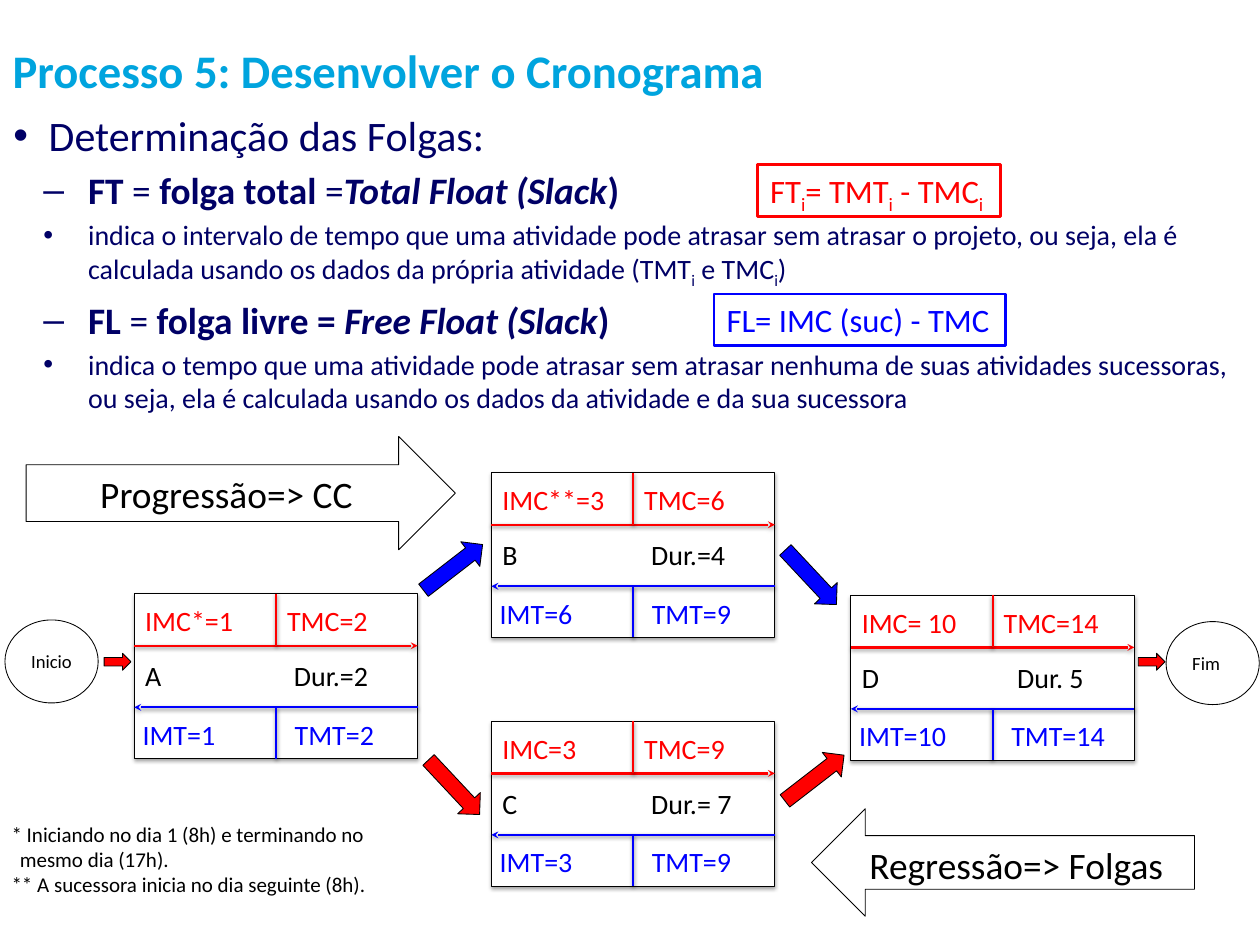
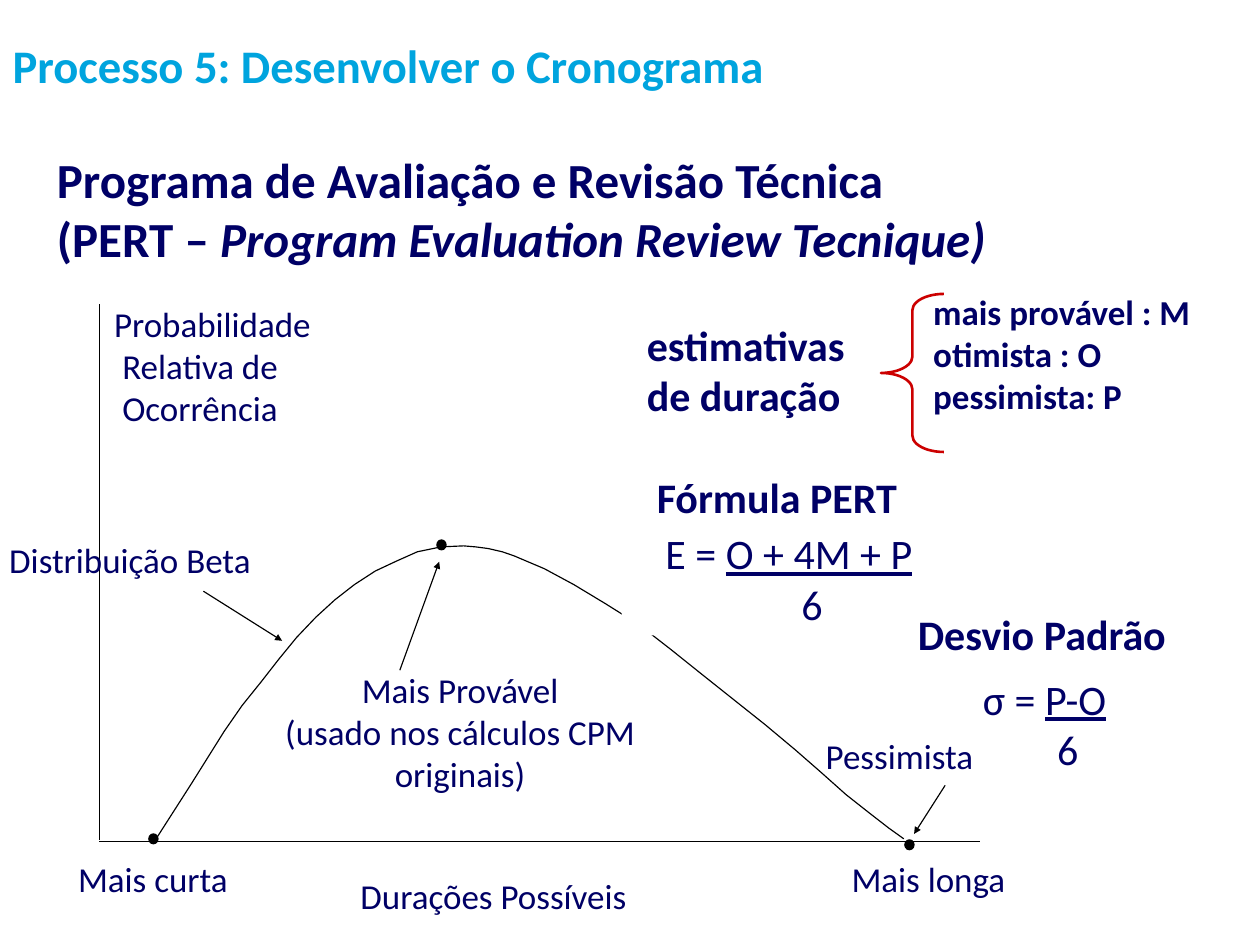
from lxml import etree
from pptx import Presentation
from pptx.dml.color import RGBColor
from pptx.enum.shapes import MSO_CONNECTOR, MSO_SHAPE
from pptx.enum.text import MSO_ANCHOR, MSO_AUTO_SIZE, PP_ALIGN
from pptx.oxml.ns import qn
from pptx.util import Cm, Pt

LEFT, CENTER = PP_ALIGN.LEFT, PP_ALIGN.CENTER
TOP, MIDDLE = MSO_ANCHOR.TOP, MSO_ANCHOR.MIDDLE
RECTANGLE, ELLIPSE = MSO_SHAPE.RECTANGLE, MSO_SHAPE.OVAL
RIGHT_ARROW, LEFT_ARROW = MSO_SHAPE.RIGHT_ARROW, MSO_SHAPE.LEFT_ARROW
STRAIGHT = MSO_CONNECTOR.STRAIGHT

FONT = "Calibri"
COLORS = {"header": "00A4DE", "navy": "000066", "red": "FF0000", "blue": "0000FF",
          "brace": "CC0000", "black": "000000", "white": "FFFFFF"}
WIDE_INSET, NARROW_INSET = (0.38, 0.19), (0.25, 0.13)

# Heights above the duration axis, measured from the axis corner
BETA_CURVE = [
    (1.72, 0.08), (2.79, 1.75), (3.78, 3.33), (4.32, 4.11), (4.9, 4.83), (5.43, 5.51),
    (5.97, 6.17), (6.55, 6.78), (7.13, 7.31), (7.72, 7.77), (8.35, 8.18), (8.99, 8.48),
    (9.62, 8.76), (10.34, 8.91), (11.02, 8.94), (11.38, 8.91), (11.76, 8.86),
    (12.19, 8.76), (12.54, 8.64), (13.46, 8.25), (14.35, 7.77), (15.31, 7.19),
    (16.33, 6.55), (17.27, 5.82), (18.23, 5.05), (20.14, 3.53), (21.05, 2.77),
    (21.84, 2.08), (22.58, 1.42), (23.29, 0.86), (23.87, 0.41), (24.33, 0.08)]


def rgb(color):
    return RGBColor.from_string(COLORS[color])


def fill_paragraph(paragraph, runs, size, color, bold=None, align=LEFT):
    """Runs are strings or (text, style) pairs; style letters: b, i, u, s (subscript)."""
    paragraph.alignment = align
    font = paragraph.font
    font.name, font.size, font.bold = FONT, Pt(size), bold
    font.color.rgb = rgb(color)
    for item in [runs] if isinstance(runs, str) else runs:
        text, style = (item, "") if isinstance(item, str) else item
        if text == "\n":
            paragraph.add_line_break()
            continue
        run = paragraph.add_run()
        run.text = text
        if "b" in style:
            run.font.bold = True
        if "i" in style:
            run.font.italic = True
        if "u" in style:
            run.font.underline = True
        if "s" in style:
            run._r.get_or_add_rPr().set("baseline", "-25000")


def set_indent(paragraph, left, first=0):
    properties = paragraph._p.get_or_add_pPr()
    properties.set("marL", str(Cm(left)))
    properties.set("indent", str(Cm(first)))


def add_tab(paragraph, position):
    tabs = etree.SubElement(paragraph._p.get_or_add_pPr(), qn("a:tabLst"))
    etree.SubElement(tabs, qn("a:tab"), pos=str(Cm(position)), algn="l")


def next_paragraph(text_frame, index):
    return text_frame.add_paragraph() if index else text_frame.paragraphs[0]


def write(shape, paragraphs, size, color, bold=None, align=LEFT, anchor=TOP,
          inset=WIDE_INSET, wrap=True, tab=None):
    text_frame = shape.text_frame
    text_frame.auto_size = MSO_AUTO_SIZE.NONE
    text_frame.word_wrap = wrap
    text_frame.vertical_anchor = anchor
    text_frame.margin_left = text_frame.margin_right = Cm(inset[0])
    text_frame.margin_top = text_frame.margin_bottom = Cm(inset[1])
    for index, runs in enumerate(paragraphs):
        paragraph = next_paragraph(text_frame, index)
        if tab:
            add_tab(paragraph, tab)
        fill_paragraph(paragraph, runs, size, color, bold, align)
    return text_frame.paragraphs


def add_text(shapes, left, top, width, height, paragraphs, size, color, **options):
    box = shapes.add_textbox(Cm(left), Cm(top), Cm(width), Cm(height))
    return write(box, paragraphs, size, color, **options)


def add_shadow(properties, alpha, distance):
    effects = etree.SubElement(properties, qn("a:effectLst"))
    shadow = etree.SubElement(effects, qn("a:outerShdw"), blurRad="40000",
                              dist=str(distance), dir="5400000", rotWithShape="0")
    color = etree.SubElement(shadow, qn("a:srgbClr"), val=COLORS["black"])
    etree.SubElement(color, qn("a:alpha"), val=str(alpha * 1000))


def add_shape(shapes, kind, left, top, width, height, fill=None, line="black",
              line_width=0.75):
    shape = shapes.add_shape(kind, Cm(left), Cm(top), Cm(width), Cm(height))
    shape.shadow.inherit = False
    if fill:
        shape.fill.solid()
        shape.fill.fore_color.rgb = rgb(fill)
    else:
        shape.fill.background()
    if line:
        shape.line.color.rgb = rgb(line)
        shape.line.width = Pt(line_width)
    else:
        shape.line.fill.background()
    return shape


def add_line(shapes, start, end, color="black", width=1, arrow=None, at="tailEnd",
             shadow=False):
    connector = shapes.add_connector(STRAIGHT, *(Cm(value) for value in (*start, *end)))
    connector.line.color.rgb = rgb(color)
    connector.line.width = Pt(width)
    if arrow:
        etree.SubElement(connector.line._get_or_add_ln(), qn(f"a:{at}"), type=arrow)
    if shadow:
        add_shadow(connector._element.spPr, 38, 20000)
    else:
        etree.SubElement(connector._element.spPr, qn("a:effectLst"))


def place(shape, left, top, width, height):
    shape.left, shape.top, shape.width, shape.height = map(Cm, (left, top, width, height))


def fill_header(shape, top):
    place(shape, 0, top, 34.37, 2.72)
    write(shape, ["Processo 5: Desenvolver o Cronograma"], 40, "header", bold=True,
          anchor=MIDDLE)


def fill_float_definitions(body, left, top, width, height):
    place(body, left, top, width, height)
    body.text_frame.auto_size = MSO_AUTO_SIZE.NONE
    rows = [
        (0, "•", 36, "Determinação das Folgas:"),
        (1, "–", 32, [("FT", "b"), " = ", ("folga total", "b"), " =",
                      ("Total Float (Slack", "bi"), (")", "b")]),
        (2, "•", 24, ["indica o intervalo de tempo que uma atividade pode atrasar sem "
                      "atrasar o projeto, ou seja, ela é calculada usando os dados da "
                      "própria atividade (TMT", ("i", "s"), " e TMC", ("i", "s"), ")"]),
        (1, "–", 32, [("FL", "b"), " = ", ("folga livre = ", "b"),
                      ("Free Float (Slack", "bi"), (")", "b")]),
        (2, "•", 24, "indica o tempo que uma atividade pode atrasar sem atrasar nenhuma "
                     "de suas atividades sucessoras, ou seja, ela é calculada usando os "
                     "dados da atividade e da sua sucessora")]
    for index, (level, bullet, size, runs) in enumerate(rows):
        paragraph = next_paragraph(body.text_frame, index)
        paragraph.level = level
        paragraph.space_before = Pt(0.2 * size if index else 0)
        properties = paragraph._p.get_or_add_pPr()
        etree.SubElement(properties, qn("a:buFont"), typeface="Arial")
        etree.SubElement(properties, qn("a:buChar"), char=bullet)
        set_indent(paragraph, *((2.26, -1.35) if level else (1.07, -1.07)))
        fill_paragraph(paragraph, runs, size, "navy")


def draw_formula_box(shapes, left, top, width, runs, color):
    box = add_shape(shapes, RECTANGLE, left, top, width, 1.57, line=color, line_width=2.25)
    write(box, [runs], 28, color, wrap=False)


def draw_activity(slide, left, top, name, duration, early, late, tab=4.5):
    """Draw one activity box; early and late are (start, finish) label pairs."""
    width, height, middle, upper, lower = 8.57, 4.98, 4.29, 1.57, 3.43
    shapes = slide.shapes.add_group_shape().shapes
    frame = add_shape(shapes, RECTANGLE, left, top, width, height, "white")
    frame._element.spPr.remove(frame._element.spPr.find(qn("a:effectLst")))
    add_shadow(frame._element.spPr, 35, 23000)
    for y, color, at in ((upper, "red", "tailEnd"), (lower, "blue", "headEnd")):
        add_line(shapes, (left, top + y), (left + width, top + y), color, 2, "stealth", at,
                 shadow=True)
    for start, end, color in ((0, upper, "red"), (lower, height, "blue")):
        add_line(shapes, (left + middle, top + start), (left + middle, top + end), color, 2,
                 shadow=True)
    for x, y, text, color in ((0.08, 0.17, early[0], "red"), (4.37, 0.17, early[1], "red"),
                              (0, 3.6, late[0], "blue"), (4.6, 3.6, late[1], "blue")):
        add_text(shapes, left + x, top + y, 4.5, 1.27, [text], 24, color, inset=NARROW_INSET)
    add_text(shapes, left + 0.08, top + 1.83, width, 1.27, [f"{name}\t{duration}"], 24,
             "black", inset=NARROW_INSET, tab=tab)


def draw_network(slide, left, top):
    activities = [
        (14.86, 1.1, "B", "Dur.=4", ("IMC**=3", "TMC=6"), ("IMT=6", "TMT=9")),
        (4.06, 4.76, "A", "Dur.=2", ("IMC*=1", "TMC=2"), ("IMT=1", "TMT=2")),
        (25.73, 4.81, "D", "Dur. 5", ("IMC= 10", "TMC=14"), ("IMT=10", "TMT=14"), 4.7),
        (14.86, 8.62, "C", "Dur.= 7", ("IMC=3", "TMC=9"), ("IMT=3", "TMT=9"))]
    for x, y, *details in activities:
        draw_activity(slide, left + x, top + y, *details)

    shapes = slide.shapes
    up, down = 322.3, 46.9
    for x, y, rotation, color in ((12.57, 3.49, up, "blue"), (12.6, 10.14, down, "red"),
                                  (23.39, 3.79, down, "blue"), (23.5, 9.86, up, "red")):
        arrow = add_shape(shapes, RIGHT_ARROW, left + x, top + y, 2.26, 0.94, color)
        arrow.rotation = rotation
    for x, y, text, arrow_x in ((0.15, 5.55, "Inicio", 3.15), (35.26, 5.6, "Fim", 34.42)):
        event = add_shape(shapes, ELLIPSE, left + x, top + y, 2.82, 2.51, "white")
        write(event, [text], 16, "black", anchor=MIDDLE, wrap=False)
        add_shape(shapes, RIGHT_ARROW, left + arrow_x, top + 6.56, 0.81, 0.51, "red")
    for kind, x, y, width, height, text in (
            (RIGHT_ARROW, 0.79, 0, 12.98, 3.43, "Progressão=> CC"),
            (LEFT_ARROW, 24.54, 11.26, 11.58, 3.25, "Regressão=> Folgas")):
        direction = add_shape(shapes, kind, left + x, top + y, width, height, "white")
        write(direction, [text], 32, "black", align=CENTER)
    notes = add_text(shapes, left + 0.1, top + 11.51, 14.83, 2.57,
                     [["* Iniciando no dia 1 (8h) e terminando no", "\n",
                       "mesmo dia (17h)."],
                      "** A sucessora inicia no dia seguinte (8h)."],
                     18, "black", inset=NARROW_INSET)
    set_indent(notes[0], 0.25, -0.25)


def draw_beta_plot(slide, left, base):
    """Draw the distribution; left and base locate the corner of the axes."""
    shapes = slide.shapes.add_group_shape().shapes

    def at(x, rise):
        return left + x, base - rise

    points = [tuple(map(Cm, at(*point))) for point in BETA_CURVE]
    builder = shapes.build_freeform(*points[0])
    builder.add_line_segments(points[1:], close=False)
    curve = builder.convert_to_shape()
    curve.shadow.inherit = False
    curve.fill.background()
    curve.line.color.rgb = rgb("black")
    curve.line.width = Pt(1)

    add_line(shapes, at(0, 0), at(26.62, 0))
    add_line(shapes, at(0, 0.05), at(0, 16.25))
    for x, rise, width, text in ((7.52, -0.81, 9.2, "Durações Possíveis"),
                                 (22.37, -0.31, 5.8, "Mais longa"),
                                 (-1.02, -0.31, 5.7, "Mais curta"),
                                 (-3.1, 9.35, 8.84, "Distribuição Beta"),
                                 (21.59, 3.43, 5.94, "Pessimista")):
        add_text(shapes, *at(x, rise), width, 1.65, [text], 30, "navy")
    axis_title = add_text(shapes, *at(0.07, 16.48), 7.1, 4.22,
                          ["Probabilidade", "Relativa de", "Ocorrência"], 30, "navy")
    for paragraph in axis_title[1:]:
        set_indent(paragraph, 0.25)
    add_text(shapes, *at(4.82, 5.43), 12.19, 4.22,
             ["Mais Provável", "(usado nos cálculos CPM originais)"], 30, "navy",
             align=CENTER)
    for dot in ((10.21, 9.12), (24.36, 0.05), (1.5, 0.23)):
        add_shape(shapes, ELLIPSE, *at(*dot), 0.28, 0.3, "black", line_width=1)
    for start, end in (((9.09, 5.18), (10.28, 8.46)), ((3.15, 7.57), (5.53, 6.07)),
                       ((25.58, 1.7), (24.64, 0.23))):
        add_line(shapes, at(*start), at(*end), arrow="triangle")


def draw_estimates(slide, left, top):
    shapes = slide.shapes
    add_text(shapes, left + 0.38, top + 0.87, 9.63, 3.45, ["estimativas", "de duração"],
             36, "navy", bold=True)
    add_text(shapes, left + 9.04, top, 10.11, 4.22,
             ["mais provável : M", "otimista : O", "pessimista: P"], 30, "navy", bold=True)
    brace = add_shape(shapes, MSO_SHAPE.LEFT_BRACE, left + 7.84, top + 0.29, 1.9, 4.78,
                      line="brace", line_width=2.25)
    brace.adjustments[0], brace.adjustments[1] = 0.26, 0.5
    for x, y, width, fill, symbol, numerator in (
            (0, 7.17, 10.11, "white", "E = ", "O + 4M + P"),
            (9.65, 11.57, 6.27, None, "σ = ", "P-O")):
        formula = add_shape(shapes, RECTANGLE, left + x, top + y, width, 3.45, fill, None)
        lines = write(formula, [[symbol, (numerator, "u")], "6"], 36, "navy", align=CENTER)
        set_indent(lines[1], 1.4)
    add_text(shapes, left + 7.75, top + 9.6, 9.91, 1.9, ["Desvio Padrão"], 36, "navy",
             bold=True, align=CENTER)
    add_text(shapes, left + 0.68, top + 5.47, 9.63, 1.9, ["Fórmula PERT"], 36, "navy",
             bold=True)


def build_float_slide(presentation):
    slide = presentation.slides.add_slide(presentation.slide_layouts[1])
    fill_header(slide.shapes.title, 0.76)
    fill_float_definitions(slide.placeholders[1], 0.15, 3.18, 37.62, 21.31)
    draw_formula_box(slide.shapes, 21.59, 8.89, 8.81, "FL= IMC (suc) - TMC", "blue")
    draw_formula_box(slide.shapes, 22.91, 4.98, 7.34,
                     ["FT", ("i", "s"), "= TMT", ("i", "s"), " - TMC", ("i", "s")], "red")
    draw_network(slide, 0, 13.2)


def build_pert_slide(presentation):
    slide = presentation.slides.add_slide(presentation.slide_layouts[5])
    place(slide.shapes.title, 1.47, 4.39, 36.22, 2.95)
    write(slide.shapes.title,
          [["Programa de Avaliação e Revisão Técnica", "\n", "(PERT – ",
            ("Program Evaluation Review Tecnique)", "i")]],
          42, "navy", bold=True, inset=NARROW_INSET)
    draw_beta_plot(slide, 3, 25.45)
    draw_estimates(slide, 18.8, 8.6)
    fill_header(slide.shapes.add_textbox(0, 0, 0, 0), 0.61)


def main():
    presentation = Presentation()
    presentation.slide_width, presentation.slide_height = Cm(38.1), Cm(28.58)
    build_float_slide(presentation)
    build_pert_slide(presentation)
    presentation.save("out.pptx")


if __name__ == "__main__":
    main()
